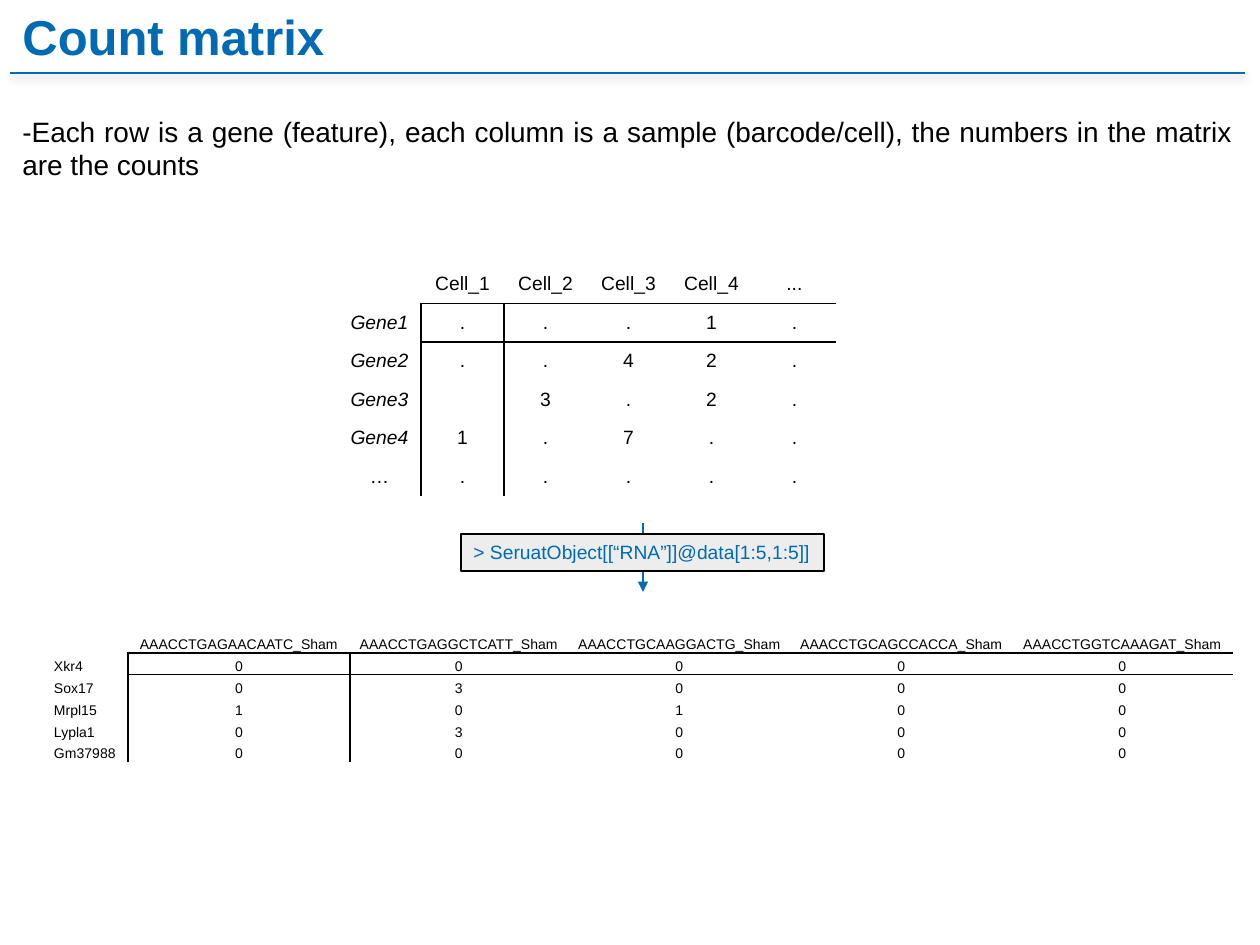
from dataclasses import dataclass
from lxml.etree import SubElement as Sub
from pptx import Presentation
from pptx.dml.color import RGBColor as RGB
from pptx.enum.shapes import MSO_CONNECTOR as Link, MSO_SHAPE as Kind
from pptx.enum.text import MSO_ANCHOR as Anchor, MSO_AUTO_SIZE as Auto, PP_ALIGN as Align
from pptx.oxml import parse_xml
from pptx.oxml.ns import nsdecls, qn
from pptx.util import Emu, Pt

HUES = {"blue": "006AB3", "black": "000000", "grey": "EDEDED"}
PLAIN = "{2D5ABB26-0587-4C30-8999-92F81FD0307C}"
SIDES = ("left", "right", "top", "bottom")


@dataclass
class Note:
    text: str
    box: tuple[int, int, int, int]
    size: int
    hue: str
    bold: bool = False
    wrap: bool = False
    align: Align = Align.LEFT
    framed: bool = False


@dataclass
class Grid:
    spot: tuple[int, int]
    cols: list[int]
    height: int
    rows: list[list[str]]
    size: int
    pads: tuple[int, int, int, int]
    anchor: Anchor
    label: Align
    slant: bool


@dataclass
class Rule:
    ends: tuple[int, int, int, int]
    width: float
    shade: bool = False
    arrow: bool = False


NOTES = [
    Note("Count matrix", (10, 0, 331, 72), 28, "blue", bold=True),
    Note("> SeruatObject[[“RNA”]]@data[1:5,1:5]]", (461, 534, 363, 37), 11, "blue", framed=True),
    Note("-Each row is a gene (feature), each column is a sample (barcode/cell), "
         "the numbers in the matrix are the counts",
         (10, 108, 1235, 81), 16, "black", wrap=True, align=Align.JUSTIFY),
]

GRIDS = [
    Grid((338, 265), [83] * 6, 231, [
        ["", "Cell_1", "Cell_2", "Cell_3", "Cell_4", "..."],
        ["Gene1", ".", ".", ".", "1", "."],
        ["Gene2", ".", ".", "4", "2", "."],
        ["Gene3", "", "3", ".", "2", "."],
        ["Gene4", "1", ".", "7", ".", "."],
        ["…", ".", ".", ".", ".", "."],
    ], 11, (11, 11, 5, 5), Anchor.MIDDLE, Align.CENTER, True),
    Grid((53, 631), [75, 222, 218, 223, 221, 221], 131, [
        ["", "AAACCTGAGAACAATC_Sham", "AAACCTGAGGCTCATT_Sham", "AAACCTGCAAGGACTG_Sham",
         "AAACCTGCAGCCACCA_Sham", "AAACCTGGTCAAAGAT_Sham"],
        ["Xkr4", "0", "0", "0", "0", "0"],
        ["Sox17", "0", "3", "0", "0", "0"],
        ["Mrpl15", "1", "0", "1", "0", "0"],
        ["Lypla1", "0", "3", "0", "0", "0"],
        ["Gm37988", "0", "0", "0", "0", "0"],
    ], 8, (1, 1, 1, 0), Anchor.BOTTOM, Align.LEFT, False),
]

RULES = [Rule((10, 73, 1245, 73), 1.25, shade=True),
         Rule((643, 523, 643, 592), 1, arrow=True)]


def px(n: int) -> Emu:
    return Emu(round(n * 914400 / 126))


def tint(name: str) -> RGB:
    return RGB.from_string(HUES[name])


def style(item, **vals) -> None:
    for name, val in vals.items():
        setattr(item, name, val)


def write(para, text: str, hue: str, **vals) -> None:
    run = para.add_run()
    run.text = text
    style(run.font, name="Arial", **vals)
    run.font.color.rgb = tint(hue)


def edge(cell, marks: list[str]) -> None:
    props = cell._tc.get_or_add_tcPr()
    for i, mark in enumerate(marks):
        props.insert(i, parse_xml(
            f'<a:ln{mark} {nsdecls("a")} w="12700"><a:solidFill>'
            f'<a:srgbClr val="{HUES["black"]}"/></a:solidFill></a:ln{mark}>'))


def draw_grid(slide, grid: Grid) -> None:
    frame = slide.shapes.add_table(len(grid.rows), len(grid.cols), *map(px, grid.spot),
                                   px(sum(grid.cols)), px(grid.height))
    table = frame.table
    style(table, first_row=False, horz_banding=False)
    for mark in frame.element.iter(qn("a:tableStyleId")):
        mark.text = PLAIN
    for col, width in zip(table.columns, grid.cols):
        col.width = px(width)
    for r, row in enumerate(grid.rows):
        for c, text in enumerate(row):
            cell = table.cell(r, c)
            pads = {f"margin_{side}": px(n) for side, n in zip(SIDES, grid.pads)}
            style(cell, vertical_anchor=grid.anchor, **pads)
            cell.fill.background()
            para = cell.text_frame.paragraphs[0]
            para.alignment = Align.CENTER if c else grid.label
            if text:
                slant = grid.slant and c == 0 and text != "…"
                write(para, text, "black", size=Pt(grid.size), italic=slant)
            else:
                Sub(para._p, qn("a:endParaRPr"), sz=str(grid.size * 100))
            tests = {"L": r and c == 1, "R": r and c == 0,
                     "T": c and r == 1, "B": c and r == 0}
            edge(cell, [mark for mark, on in tests.items() if on])


def draw_rule(slide, rule: Rule) -> None:
    link = slide.shapes.add_connector(Link.STRAIGHT, *map(px, rule.ends))
    link.line.color.rgb = tint("blue")
    link.line.width = Pt(rule.width)
    if rule.arrow:
        Sub(link.line._get_or_add_ln(), qn("a:tailEnd"), type="triangle")
    glow = Sub(link.element.spPr, qn("a:effectLst"))
    if rule.shade:
        cast = Sub(glow, qn("a:outerShdw"), blurRad=str(Pt(5)), dist=str(Pt(2)),
                   dir="5400000", rotWithShape="0")
        tone = Sub(cast, qn("a:srgbClr"), val=HUES["black"])
        Sub(tone, qn("a:alpha"), val="27000")


def draw_note(slide, note: Note) -> None:
    box = map(px, note.box)
    if note.framed:
        shape = slide.shapes.add_shape(Kind.RECTANGLE, *box)
        shape.shadow.inherit = False
        shape.fill.solid()
        shape.fill.fore_color.rgb = tint("grey")
        shape.line.color.rgb = tint("black")
        shape.line.width = Pt(0.75)
    else:
        shape = slide.shapes.add_textbox(*box)
    frame = shape.text_frame
    style(frame, word_wrap=note.wrap, auto_size=Auto.SHAPE_TO_FIT_TEXT,
          vertical_anchor=Anchor.TOP)
    para = frame.paragraphs[0]
    para.alignment = note.align
    write(para, note.text, note.hue, size=Pt(note.size), bold=note.bold)


def main() -> None:
    deck = Presentation()
    style(deck, slide_width=px(1260), slide_height=px(945))
    slide = deck.slides.add_slide(deck.slide_layouts[6])
    for grid in GRIDS:
        draw_grid(slide, grid)
    for rule in RULES:
        draw_rule(slide, rule)
    for note in NOTES:
        draw_note(slide, note)
    deck.save("out.pptx")


if __name__ == "__main__":
    main()
